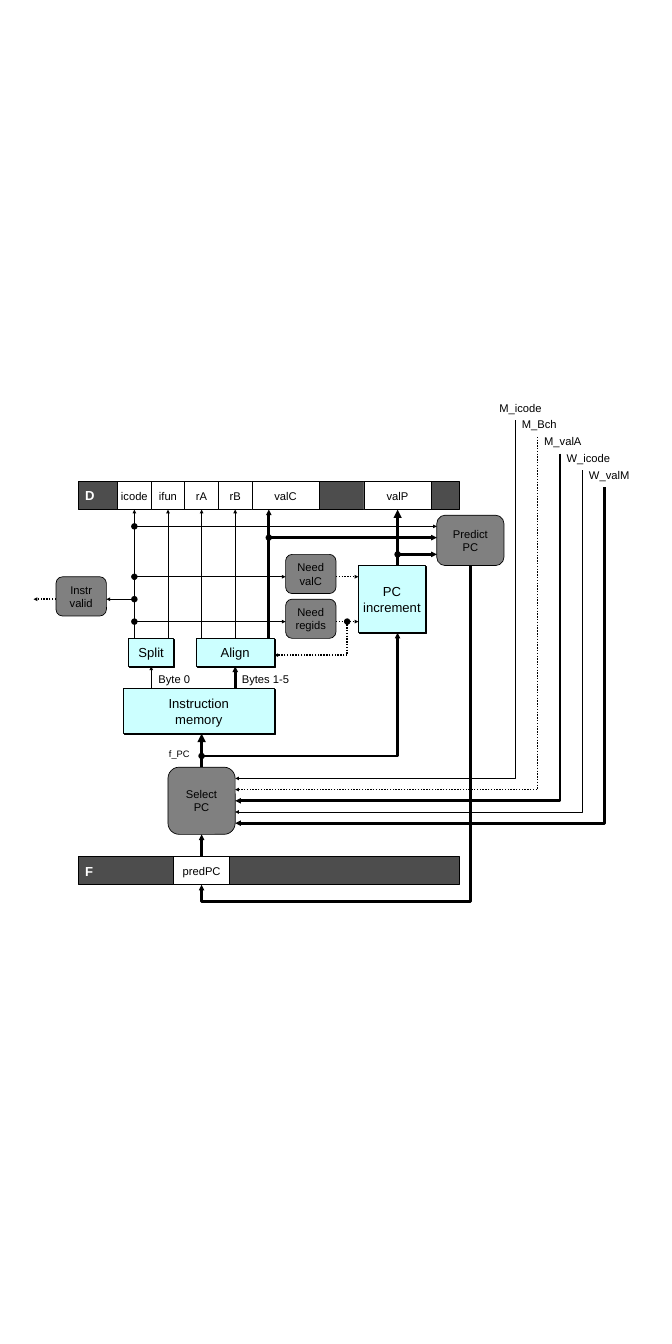
from dataclasses import dataclass

from lxml import etree
from pptx import Presentation
from pptx import util as u
from pptx.dml import color as col
from pptx.enum import dml, shapes, text
from pptx.oxml import ns

Pt = u.Pt
RECT = shapes.MSO_SHAPE.RECTANGLE
ROUND = shapes.MSO_SHAPE.ROUNDED_RECTANGLE
OVAL = shapes.MSO_SHAPE.OVAL


@dataclass(frozen=True)
class Theme:
    font: str = "Arial"
    ink: str = "000000"
    paper: str = "FFFFFF"
    bar: str = "4D4D4D"
    logic: str = "808080"
    unit: str = "CCFFFF"
    big: float = 14
    mid: float = 12
    small: float = 10
    edge: float = 0.75
    thin: float = 1
    dots: float = 1.5
    thick: float = 3


T = Theme()


@dataclass(frozen=True)
class Box:
    words: str
    x: float
    y: float
    w: float
    h: float
    fill: str = T.paper
    size: float = T.mid
    form: shapes.MSO_SHAPE = RECT
    edge: float = T.edge


@dataclass(frozen=True)
class Label:
    words: str
    x: float
    y: float
    w: float = 72
    h: float = 21.6
    size: float = T.mid


@dataclass(frozen=True)
class Wire:
    pts: tuple[tuple[float, float], ...]
    width: float = T.thin
    head: str = "sm"


def rgb(code: str) -> col.RGBColor:
    return col.RGBColor.from_string(code)


def style(frame, size: float, ink: str, align, bold: bool = False) -> None:
    for para in frame.paragraphs:
        para.alignment = align
        font = para.font
        font.name, font.size, font.bold = T.font, Pt(size), bold
        font.color.rgb = rgb(ink)


def draw_box(slide, box: Box) -> None:
    shape = slide.shapes.add_shape(box.form, Pt(box.x), Pt(box.y), Pt(box.w), Pt(box.h))
    shape.shadow.inherit = False
    shape.fill.solid()
    shape.fill.fore_color.rgb = rgb(box.fill)
    shape.line.color.rgb = rgb(T.ink)
    shape.line.width = Pt(box.edge)
    if box.fill == T.unit:
        add_shade(shape)
    if not box.words:
        return
    frame = shape.text_frame
    frame.text = box.words
    frame.word_wrap = False
    frame.vertical_anchor = text.MSO_ANCHOR.MIDDLE
    if box.fill == T.bar:
        style(frame, box.size, T.paper, text.PP_ALIGN.LEFT, True)
    else:
        frame.margin_left = frame.margin_right = 0
        frame.margin_top = frame.margin_bottom = 0
        style(frame, box.size, T.ink, text.PP_ALIGN.CENTER)


def add_shade(shape) -> None:
    """Give a hardware unit its hard lower right shadow."""
    effects = shape.element.spPr.find(ns.qn("a:effectLst"))
    shade = etree.SubElement(effects, ns.qn("a:outerShdw"), dist=str(Pt(1.4)),
                             dir="2700000", algn="ctr", rotWithShape="0")
    etree.SubElement(shade, ns.qn("a:srgbClr"), val=T.ink)


def draw_label(slide, label: Label) -> None:
    shape = slide.shapes.add_textbox(Pt(label.x), Pt(label.y), Pt(label.w), Pt(label.h))
    frame = shape.text_frame
    frame.text = label.words
    frame.word_wrap = True
    frame.auto_size = text.MSO_AUTO_SIZE.SHAPE_TO_FIT_TEXT
    style(frame, label.size, T.ink, text.PP_ALIGN.LEFT)


def draw_wire(slide, wire: Wire) -> None:
    pts = [(Pt(x), Pt(y)) for x, y in wire.pts]
    if len(pts) == 2:
        shape = slide.shapes.add_connector(shapes.MSO_CONNECTOR.STRAIGHT, *pts[0], *pts[1])
    else:
        pen = slide.shapes.build_freeform(*pts[0])
        pen.add_line_segments(pts[1:], close=False)
        shape = pen.convert_to_shape()
        shape.fill.background()
    shape.line.color.rgb = rgb(T.ink)
    shape.line.width = Pt(wire.width)
    if wire.width == T.dots:
        shape.line.dash_style = dml.MSO_LINE.ROUND_DOT
    props = shape.element.spPr if hasattr(shape, "element") else shape._element.spPr
    etree.SubElement(props.find(ns.qn("a:ln")), ns.qn("a:tailEnd"),
                     type="triangle", w=wire.head, len=wire.head)
    etree.SubElement(props, ns.qn("a:effectLst"))


# Pipeline registers and their fields
TOP, LOW, HIGH = 516, 918, 30
BARS = [Box(name, 84, y, 408, HIGH, T.bar, T.big) for name, y in (("F", LOW), ("D", TOP))]
FIELDS = [Box(name, 126 + 36 * i, TOP, 36, HIGH)
          for i, name in enumerate(("icode", "ifun", "rA", "rB"))]
FIELDS += [Box("valC", 270, TOP, 72, HIGH), Box("valP", 390, TOP, 72, HIGH),
           Box("predPC", 186, LOW, 60, HIGH, edge=T.thin)]

# Hardware units and control logic
UNITS = [Box(*item, T.unit, T.big) for item in (
    ("Instruction\nmemory", 132, 738, 162, 48),
    ("PC\nincrement", 384, 606, 72, 72),
    ("Align", 210, 684, 84, 30),
    ("Split", 138, 684, 48, 30),
)]
LOGIC = [Box(*item, T.logic, form=ROUND) for item in (
    ("Predict\nPC", 468, 552, 72, 54),
    ("Need\nregids", 306, 642, 54, 42),
    ("Need\nvalC", 306, 594, 54, 42),
    ("Instr\nvalid", 60, 618, 54, 42),
    ("Select\nPC", 180, 822, 72, 72),
)]

# Signals inside the fetch stage
WIRES = [Wire(((x, 684), (x, 546))) for x in (144, 180, 216, 252)]
WIRES += [Wire(pts) for pts in (
    ((144, 666), (306, 666)), ((144, 618), (306, 618)), ((144, 642), (114, 642)),
    ((162, 738), (162, 714)), ((144, 564), (468, 564)),
)]
WIRES += [Wire(pts, T.dots) for pts in (
    ((360, 618), (384, 618)), ((360, 666), (384, 666)), ((60, 642), (36, 642)),
    ((372, 666), (372, 702), (294, 702)),
)]
WIRES += [Wire(pts, T.thick) for pts in (
    ((288, 684), (288, 546)), ((288, 576), (468, 576)), ((426, 594), (468, 594)),
    ((252, 738), (252, 714)), ((216, 918), (216, 894)),
    ((216, 810), (426, 810), (426, 678)),
    ((504, 606), (504, 966), (216, 966), (216, 948)),
)]
WIRES += [Wire(pts, T.thick, "med") for pts in (
    ((426, 606), (426, 546)), ((216, 822), (216, 786)))]
DOTS = [(144, 564), (144, 618), (144, 642), (144, 666),
        (216, 810), (288, 576), (372, 666), (426, 594)]
LABELS = [Label("Bytes 1-5", 252, 716.4, 84),
          Label("Byte 0", 162.72, 716.4),
          Label("f_PC", 174, 798, h=19.4, size=T.small)]

# Signals fed back from later stages
BACK = (("M_icode", T.thin), ("M_Bch", T.dots), ("M_valA", T.thick),
        ("W_icode", T.thin), ("W_valM", T.thick))
for i, (name, width) in enumerate(BACK):
    x, y, end = 552 + 24 * i, 450 + 18 * i, 834 + 12 * i
    WIRES.append(Wire(((x, y), (x, end), (252, end)), width))
    LABELS.append(Label(name, x - 24, y - 24))


def main() -> None:
    deck = Presentation()
    deck.slide_width, deck.slide_height = Pt(720), Pt(1440)
    slide = deck.slides.add_slide(deck.slide_layouts[6])
    for box in BARS + FIELDS + UNITS + LOGIC:
        draw_box(slide, box)
    for wire in WIRES:
        draw_wire(slide, wire)
    for x, y in DOTS:
        draw_box(slide, Box("", x - 3, y - 3, 6, 6, T.ink, form=OVAL))
    for label in LABELS:
        draw_label(slide, label)
    deck.save("out.pptx")


if __name__ == "__main__":
    main()
